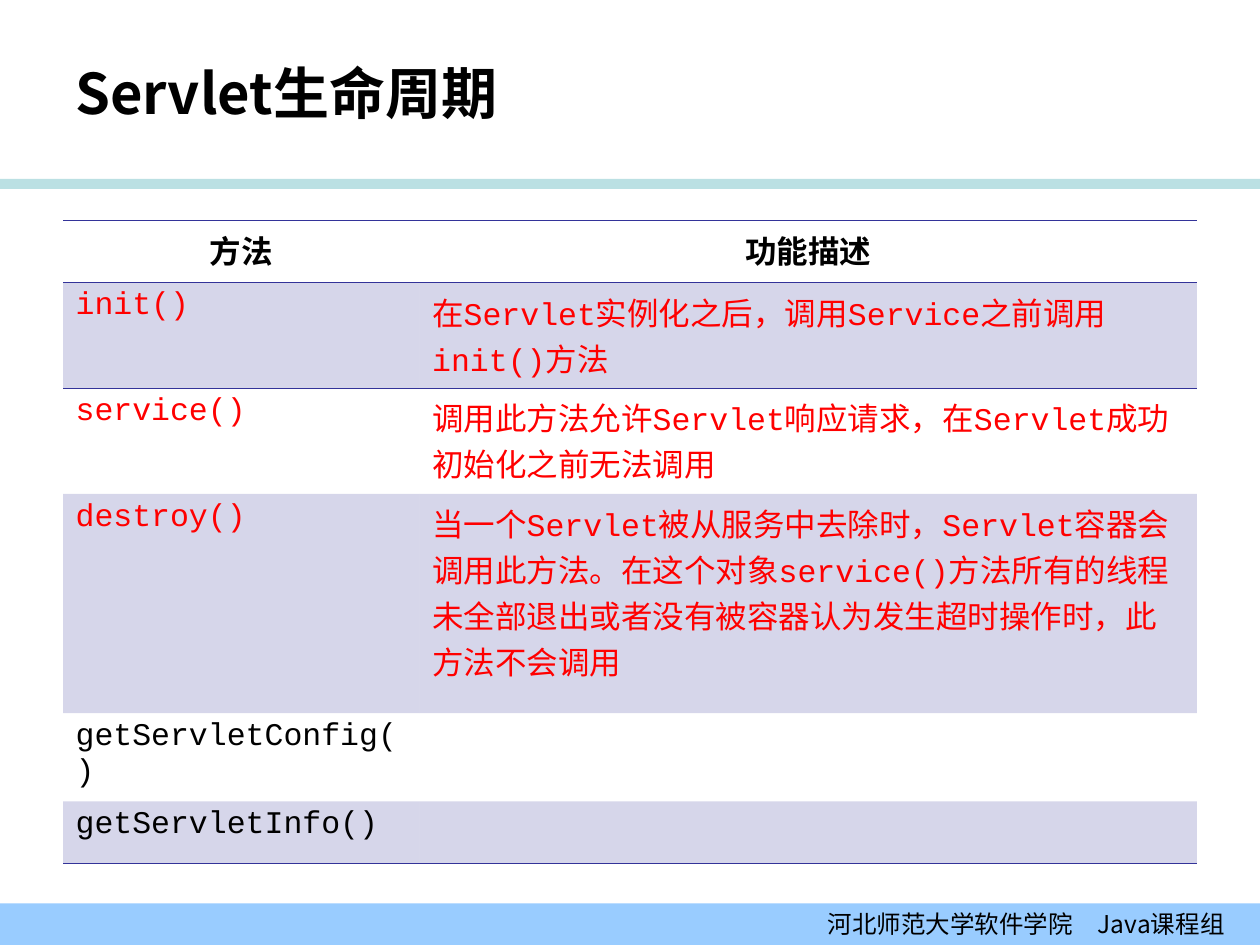
from dataclasses import dataclass

from lxml import etree
from pptx import Presentation
from pptx.dml.color import RGBColor
from pptx.enum.shapes import MSO_SHAPE
from pptx.enum.text import MSO_ANCHOR, PP_ALIGN
from pptx.oxml.ns import qn
from pptx.util import Inches, Pt

RECT = MSO_SHAPE.RECTANGLE
MIDDLE = MSO_ANCHOR.MIDDLE
LEFT, CENTER, RIGHT = PP_ALIGN.LEFT, PP_ALIGN.CENTER, PP_ALIGN.RIGHT

BLACK = RGBColor(0x00, 0x00, 0x00)
RED = RGBColor(0xFF, 0x00, 0x00)
TEAL = RGBColor(0xBB, 0xE0, 0xE3)
SKY = RGBColor(0x99, 0xCC, 0xFF)
NAVY = RGBColor(0x33, 0x33, 0x99)

SANS = "Noto Sans CJK SC"
MONO = "Courier New"
PLAIN = "{2D5ABB26-0587-4C30-8999-92F81FD0307C}"  # no style, no grid


@dataclass
class Row:
    name: str
    text: str
    high: float
    color: RGBColor = BLACK
    head: bool = False
    band: bool = False
    edges: tuple = ()


COLS = (2.83, 6.17)
ROWS = (
    Row("方法", "功能描述", 0.49, head=True, edges=("T", "B")),
    Row("init()", "在Servlet实例化之后，调用Service之前调用init()方法",
        0.84, RED, band=True, edges=("T",)),
    Row("service()", "调用此方法允许Servlet响应请求，在Servlet成功初始化之前无法调用",
        0.84, RED),
    Row("destroy()",
        "当一个Servlet被从服务中去除时，Servlet容器会调用此方法。"
        "在这个对象service()方法所有的线程未全部退出或者"
        "没有被容器认为发生超时操作时，此方法不会调用",
        1.74, RED, band=True),
    Row("getServletConfig()", "", 0.7),
    Row("getServletInfo()", "", 0.49, band=True, edges=("B",)),
)


def write(frame, text: str, align, **form) -> None:
    """Put one formatted run in a text frame."""
    para = frame.paragraphs[0]
    para.alignment = align
    run = para.add_run()
    run.text = text
    run.font.color.rgb = form.pop("color", BLACK)
    for key, value in form.items():
        setattr(run.font, key, value)
    east = etree.SubElement(run.font._element, qn("a:ea"))
    east.set("typeface", SANS)


def add_bar(slide, top: float, high: float, color: RGBColor):
    """Draw a band across the slide."""
    bar = slide.shapes.add_shape(RECT, 0, Inches(top), Inches(10), Inches(high))
    bar.shadow.inherit = False
    bar.fill.solid()
    bar.fill.fore_color.rgb = color
    bar.line.fill.background()
    return bar


def add_edges(cell, edges: tuple) -> None:
    """Rule the named sides of a cell, ahead of its fill."""
    props = cell._tc.get_or_add_tcPr()
    for spot, side in enumerate(edges):
        line = etree.Element(qn(f"a:ln{side}"), w=str(Pt(0.45)))
        fill = etree.SubElement(line, qn("a:solidFill"))
        etree.SubElement(fill, qn("a:srgbClr"), val=str(NAVY))
        props.insert(spot, line)


def fill_cell(cell, text: str, row: Row) -> None:
    """Shade, rule and write one table cell."""
    if row.band:
        cell.fill.solid()
        cell.fill.fore_color.rgb = NAVY
        tint = cell._tc.tcPr.find(".//" + qn("a:srgbClr"))
        etree.SubElement(tint, qn("a:alpha"), val="20000")
    else:
        cell.fill.background()
    add_edges(cell, row.edges)
    if text:
        write(cell.text_frame, text, CENTER if row.head else LEFT,
              name=MONO, size=Pt(18), bold=row.head, color=row.color)


def add_grid(slide) -> None:
    """Build the table of methods."""
    table = slide.shapes.add_table(
        len(ROWS), len(COLS), Inches(0.5), Inches(1.75),
        Inches(sum(COLS)), Inches(sum(row.high for row in ROWS))).table
    table.first_row = table.horz_banding = False
    table._tbl.tblPr.find(qn("a:tableStyleId")).text = PLAIN
    for col, wide in zip(table.columns, COLS):
        col.width = Inches(wide)
    for i, row in enumerate(ROWS):
        table.rows[i].height = Inches(row.high)
        for j, text in enumerate((row.name, row.text)):
            fill_cell(table.cell(i, j), text, row)


def main() -> None:
    deck = Presentation()
    deck.slide_width, deck.slide_height = Inches(10), Inches(7.5)
    slide = deck.slides.add_slide(deck.slide_layouts[6])

    # Rule and footer
    add_bar(slide, 1.42, 0.08, TEAL)
    foot = add_bar(slide, 7.17, 0.33, SKY).text_frame
    foot.margin_right = Inches(0.28)
    foot.vertical_anchor = MIDDLE
    write(foot, "河北师范大学软件学院\u3000Java课程组".replace("\u3000", "　"),
          RIGHT, name=SANS, size=Pt(14))

    # Title
    title = slide.shapes.add_textbox(
        Inches(0.5), Inches(0.3), Inches(8), Inches(0.87)).text_frame
    title.word_wrap = True
    title.vertical_anchor = MIDDLE
    write(title, "Servlet生命周期", LEFT, name=SANS, size=Pt(32), bold=True)

    # Methods
    add_grid(slide)
    deck.save("out.pptx")


if __name__ == "__main__":
    main()
